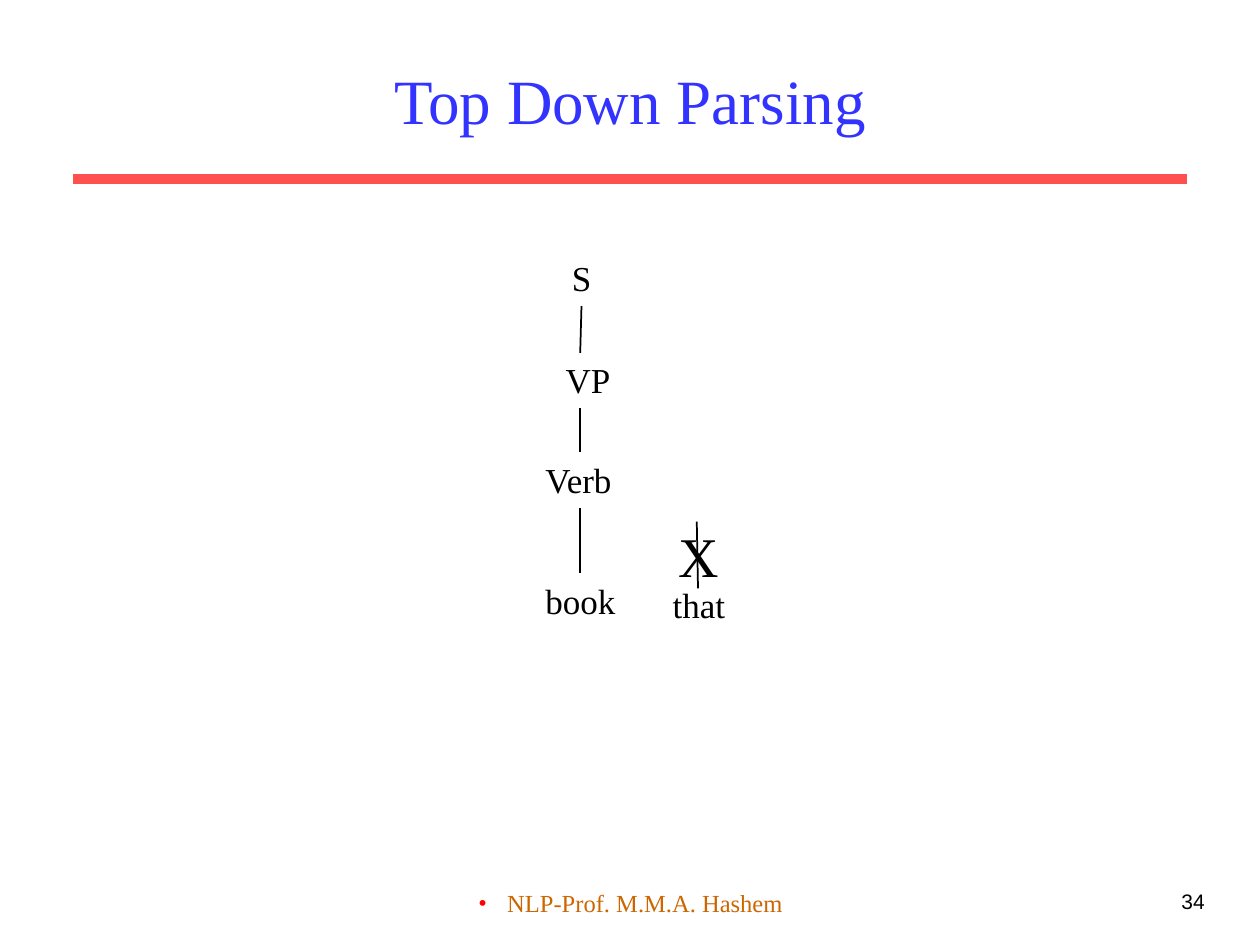
from typing import NamedTuple

from lxml import etree
from pptx import Presentation
from pptx.dml.color import RGBColor
from pptx.enum.shapes import MSO_CONNECTOR
from pptx.enum.text import MSO_ANCHOR, MSO_AUTO_SIZE, PP_ALIGN
from pptx.oxml.ns import qn
from pptx.util import Emu, Pt

STRAIGHT = MSO_CONNECTOR.STRAIGHT
TOP, MIDDLE = MSO_ANCHOR.TOP, MSO_ANCHOR.MIDDLE
FIT = MSO_AUTO_SIZE.SHAPE_TO_FIT_TEXT
LEFT, CENTER, RIGHT = PP_ALIGN.LEFT, PP_ALIGN.CENTER, PP_ALIGN.RIGHT

EMU_PER_PX = 9144
SERIF, SANS = "Times New Roman", "Arial"
COLORS = {
    "title": "3333FF",
    "rule": "FF5050",
    "ink": "000000",
    "footer": "CC6600",
    "bullet": "FF0000",
}


class Label(NamedTuple):
    text: str
    x: int
    y: int
    w: int
    h: int
    size: int = 20
    color: str = "ink"
    font: str = SERIF
    align: PP_ALIGN = LEFT
    anchor: MSO_ANCHOR = TOP
    wrap: bool = False
    inset: int = 10


class Line(NamedTuple):
    x1: int
    y1: int
    x2: int
    y2: int
    color: str = "ink"
    width: int = 1


TITLE = Label("Top Down Parsing", 75, 25, 850, 108, 36, "title",
              align=CENTER, anchor=MIDDLE, wrap=True)
FOOTER = Label("NLP-Prof. M.M.A. Hashem", 342, 700, 317, 50, 14, "footer",
               align=CENTER, wrap=True)
PAGE_NUMBER = Label("34", 758, 700, 208, 50, 12, font=SANS,
                    align=RIGHT, wrap=True)
TREE = [
    Label("S", 444, 199, 35, 44),
    Label("VP", 426, 280, 69, 44, inset=23),
    Label("Verb", 423, 359, 75, 44),
    Label("book", 423, 455, 75, 44),
]
FAILED = [
    Label("X", 529, 409, 52, 64, 32),
    Label("that", 524, 458, 61, 44),
]
TITLE_RULE = Line(58, 142, 942, 142, "rule", 6)
FAILED_BRANCH = Line(553, 414, 554, 467)


def px(n: int) -> Emu:
    return Emu(n * EMU_PER_PX)


def rgb(name: str) -> RGBColor:
    return RGBColor.from_string(COLORS[name])


def add_label(s, d: Label):
    sp = s.shapes.add_textbox(px(d.x), px(d.y), px(d.w), px(d.h))
    tf = sp.text_frame
    tf.word_wrap = d.wrap
    tf.vertical_anchor = d.anchor
    tf.margin_left = px(d.inset)
    tf.margin_right = px(10 if d.wrap else 5)
    tf.margin_top = tf.margin_bottom = px(5)
    if not d.wrap:
        tf.auto_size = FIT
    p = tf.paragraphs[0]
    p.alignment = d.align
    r = p.add_run()
    r.text = d.text
    r.font.name = d.font
    r.font.size = Pt(d.size)
    r.font.color.rgb = rgb(d.color)
    return sp


def add_line(s, d: Line):
    c = s.shapes.add_connector(STRAIGHT, px(d.x1), px(d.y1), px(d.x2), px(d.y2))
    c.line.color.rgb = rgb(d.color)
    c.line.width = Pt(d.width)
    etree.SubElement(c.element.spPr, qn("a:effectLst"))
    return c


def add_branch(s, parent, child) -> None:
    c = add_line(s, Line(0, 0, 0, 0))
    c.begin_connect(parent, 2)
    c.end_connect(child, 0)


def add_bullet(sp, color: str, indent: int) -> None:
    pPr = sp.text_frame.paragraphs[0]._p.get_or_add_pPr()
    pPr.set("marL", str(px(indent)))
    pPr.set("indent", str(px(-indent)))
    buClr = etree.SubElement(pPr, qn("a:buClr"))
    etree.SubElement(buClr, qn("a:srgbClr"), val=COLORS[color])
    etree.SubElement(pPr, qn("a:buFont"), typeface=SERIF)
    etree.SubElement(pPr, qn("a:buChar"), char="•")


def main() -> None:
    prs = Presentation()
    prs.slide_width, prs.slide_height = px(1000), px(750)
    s = prs.slides.add_slide(prs.slide_layouts[6])

    add_line(s, TITLE_RULE)
    add_label(s, TITLE)

    nodes = [add_label(s, d) for d in TREE]
    for parent, child in zip(nodes, nodes[1:]):
        add_branch(s, parent, child)

    for d in FAILED:
        add_label(s, d)
    add_line(s, FAILED_BRANCH)

    add_bullet(add_label(s, FOOTER), "bullet", 23)
    add_label(s, PAGE_NUMBER)
    prs.save("out.pptx")


if __name__ == "__main__":
    main()
